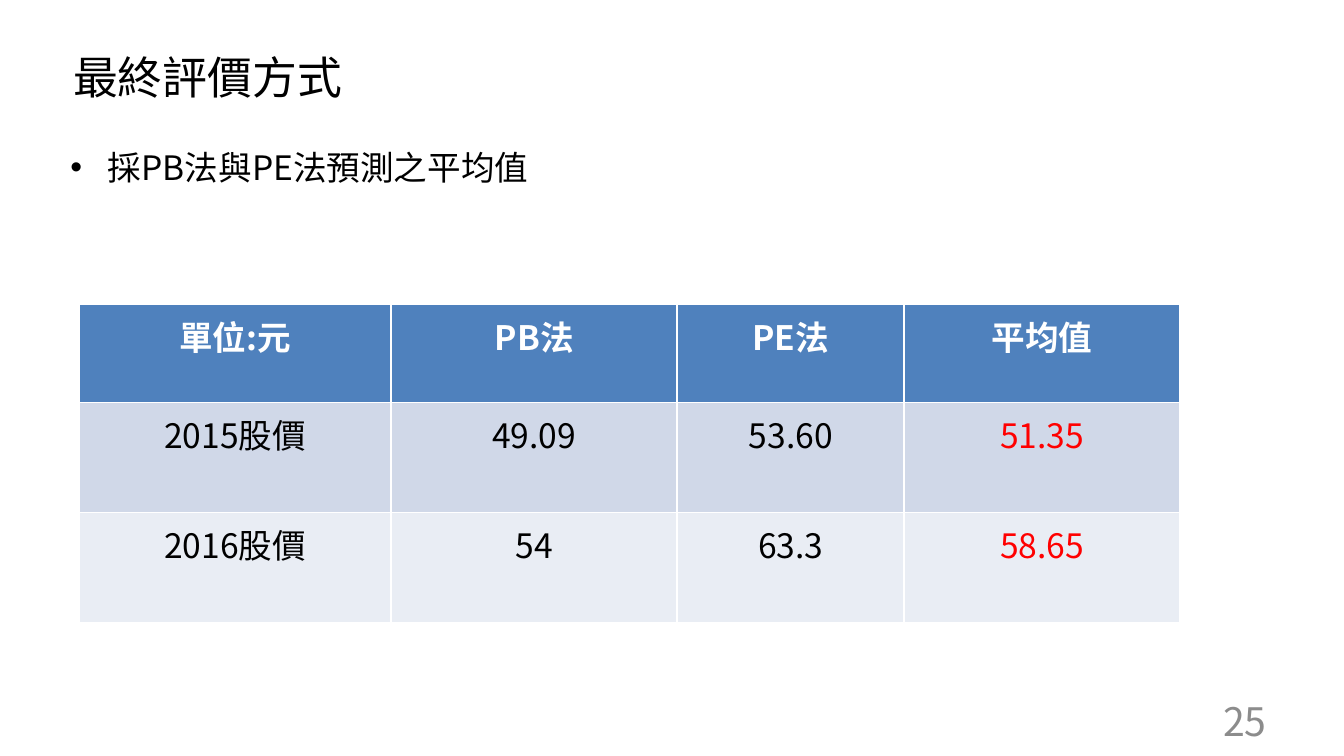
from lxml import etree
from pptx import Presentation
from pptx.dml.color import RGBColor
from pptx.enum import text
from pptx.oxml import ns
from pptx.util import Cm, Pt

BLACK = RGBColor(0x00, 0x00, 0x00)
WHITE = RGBColor(0xFF, 0xFF, 0xFF)
RED = RGBColor(0xFF, 0x00, 0x00)
GRAY = RGBColor(0x8C, 0x8C, 0x8C)
BLUE = RGBColor(0x4F, 0x81, 0xBD)
BANDS = RGBColor(0xD0, 0xD8, 0xE8), RGBColor(0xE9, 0xED, 0xF4)

SLIDE_FONT = "Noto Sans CJK SC"
TABLE_FONT = "Noto Sans CJK TC"
LEFT, CENTER, RIGHT = text.PP_ALIGN.LEFT, text.PP_ALIGN.CENTER, text.PP_ALIGN.RIGHT
TOP, MIDDLE = text.MSO_ANCHOR.TOP, text.MSO_ANCHOR.MIDDLE

TITLE = "最終評價方式"
BULLET = "採PB法與PE法預測之平均值"
PAGE = "25"
PRICES = [
    ("單位:元", "PB法", "PE法", "平均值"),
    ("2015股價", "49.09", "53.60", "51.35"),
    ("2016股價", "54", "63.3", "58.65"),
]
COL_WIDTHS = [5.89, 5.41, 4.29, 5.21]
ROW_HEIGHTS = [1.85, 2.08, 2.08]


def write(tf, words, align, name=SLIDE_FONT, size=18, color=BLACK, bold=False):
    p = tf.paragraphs[0]
    p.alignment = align
    r = p.add_run()
    r.text = words
    for key, value in {"name": name, "size": Pt(size), "bold": bold}.items():
        setattr(r.font, key, value)
    r.font.color.rgb = color
    east_asian = etree.SubElement(r.font._element, ns.qn("a:ea"))
    east_asian.set("typeface", name)
    return p


def place(sp, left, top, width, height, anchor):
    """Position a text shape, in centimetres, and set its frame."""
    box = {"left": left, "top": top, "width": width, "height": height}
    for key, value in box.items():
        setattr(sp, key, Cm(value))
    tf = sp.text_frame
    frame = {"word_wrap": True, "auto_size": text.MSO_AUTO_SIZE.NONE,
             "vertical_anchor": anchor,
             "margin_left": Cm(0.19), "margin_right": Cm(0.19),
             "margin_top": Cm(0.1), "margin_bottom": Cm(0.1)}
    for key, value in frame.items():
        setattr(tf, key, value)
    return tf


def add_prices(s):
    table = s.shapes.add_table(
        len(ROW_HEIGHTS), len(COL_WIDTHS), Cm(1.5), Cm(5.75),
        Cm(sum(COL_WIDTHS)), Cm(sum(ROW_HEIGHTS))).table
    for column, width in zip(table.columns, COL_WIDTHS):
        column.width = Cm(width)
    for i, (row, height) in enumerate(zip(table.rows, ROW_HEIGHTS)):
        row.height = Cm(height)
        header = i == 0
        for j, (cell, words) in enumerate(zip(row.cells, PRICES[i])):
            average = j == len(COL_WIDTHS) - 1
            color = WHITE if header else RED if average else BLACK
            write(cell.text_frame, words, CENTER, TABLE_FONT,
                  color=color, bold=header)
            cell.fill.solid()
            cell.fill.fore_color.rgb = BLUE if header else BANDS[(i - 1) % 2]


def main():
    prs = Presentation()
    prs.slide_width, prs.slide_height = Cm(25.4), Cm(14.28)
    s = prs.slides.add_slide(prs.slide_layouts[1])
    title, body = s.placeholders

    write(place(title, 1.19, 0.25, 22.86, 2.39, MIDDLE), TITLE, LEFT, size=24)

    p = write(place(body, 1.14, 2.67, 22.86, 9.42, TOP), BULLET, LEFT)
    indent = Cm(0.71)
    pPr = p._p.get_or_add_pPr()
    pPr.set("marL", str(indent))
    pPr.set("indent", str(-indent))

    page = s.shapes.add_textbox(0, 0, 0, 0)
    write(place(page, 18.21, 13.23, 5.92, 0.76, MIDDLE), PAGE, RIGHT,
          size=21, color=GRAY)

    add_prices(s)
    prs.save("out.pptx")


if __name__ == "__main__":
    main()
